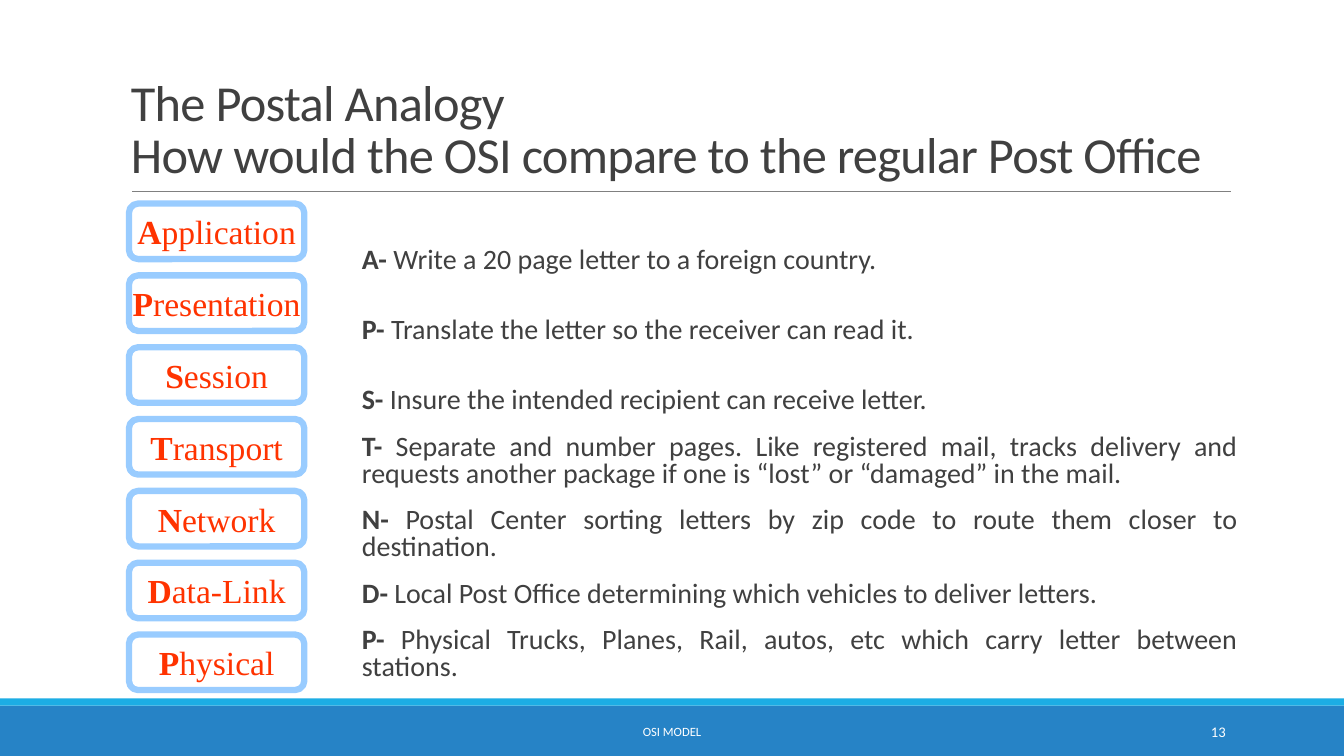
from pptx import Presentation
from pptx.dml.color import RGBColor
from pptx.enum.shapes import MSO_CONNECTOR, MSO_SHAPE
from pptx.enum.text import MSO_ANCHOR, PP_ALIGN
from pptx.oxml.ns import qn
from pptx.util import Cm, Pt
from lxml import etree

RECTANGLE, ROUNDED = MSO_SHAPE.RECTANGLE, MSO_SHAPE.ROUNDED_RECTANGLE
STRAIGHT = MSO_CONNECTOR.STRAIGHT
LEFT, CENTER, RIGHT, JUSTIFY = (PP_ALIGN.LEFT, PP_ALIGN.CENTER,
                                PP_ALIGN.RIGHT, PP_ALIGN.JUSTIFY)
TOP, MIDDLE, BOTTOM = MSO_ANCHOR.TOP, MSO_ANCHOR.MIDDLE, MSO_ANCHOR.BOTTOM

WHITE = RGBColor(0xFF, 0xFF, 0xFF)
DARK = RGBColor(0x40, 0x40, 0x40)
GRAY = RGBColor(0x80, 0x80, 0x80)
BLUE = RGBColor(0x26, 0x83, 0xC6)
CYAN = RGBColor(0x1C, 0xAD, 0xE4)
PALE_BLUE = RGBColor(0x99, 0xCC, 0xFF)
RED = RGBColor(0xFF, 0x33, 0x00)

SLIDE_WIDTH, SLIDE_HEIGHT = 33.87, 19.05
LAYER_TOP, LAYER_PITCH = 5.13, 1.81

# Layer name, line spacing of its analogy, analogy
LAYERS = [
    ("Application", 1.0, "Write a 20 page letter to a foreign country."),
    ("Presentation", 1.5, "Translate the letter so the receiver can read it."),
    ("Session", 1.5, "Insure the intended recipient can receive letter."),
    ("Transport", 0.8, "Separate and number pages. Like registered mail, tracks "
     "delivery and requests another package if one is “lost” or “damaged” in the mail."),
    ("Network", 0.8, "Postal Center sorting letters by zip code to route them "
     "closer to destination."),
    ("Data-Link", 0.8, "Local Post Office determining which vehicles to deliver letters."),
    ("Physical", 0.8, "Physical Trucks, Planes, Rail, autos, etc which carry "
     "letter between stations."),
]


def add_run(paragraph, text, size, color, font="Calibri", bold=False):
    run = paragraph.add_run()
    run.text = text
    run.font.name = font
    run.font.size = Pt(size)
    run.font.color.rgb = color
    run.font.bold = bold
    return run


def add_text_frame(slide, left, top, width, height, anchor):
    box = slide.shapes.add_textbox(Cm(left), Cm(top), Cm(width), Cm(height))
    frame = box.text_frame
    frame.word_wrap = True
    frame.vertical_anchor = anchor
    return frame


def add_bar(slide, top, height, color):
    bar = slide.shapes.add_shape(RECTANGLE, 0, Cm(top), Cm(SLIDE_WIDTH), Cm(height))
    bar.shadow.inherit = False
    bar.fill.solid()
    bar.fill.fore_color.rgb = color
    bar.line.fill.background()


def add_title(slide, lines):
    frame = add_text_frame(slide, 3.05, 1.7, 27.94, 3.05, BOTTOM)
    paragraph = frame.paragraphs[0]
    paragraph.alignment = LEFT
    paragraph.line_spacing = 0.85
    for index, line in enumerate(lines):
        if index:
            paragraph.add_line_break()
        run = add_run(paragraph, line, 36, DARK)
        run.font._element.set("spc", "-50")


def add_title_rule(slide):
    rule = slide.shapes.add_connector(STRAIGHT, Cm(3.33), Cm(4.83), Cm(31.01), Cm(4.83))
    rule.line.color.rgb = GRAY
    rule.line.width = Pt(0.5)
    etree.SubElement(rule._element.spPr, qn("a:effectLst"))


def add_layer(slide, top, name):
    layer = slide.shapes.add_shape(ROUNDED, Cm(3.25), Cm(top), Cm(4.42), Cm(1.4))
    layer.shadow.inherit = False
    layer.fill.solid()
    layer.fill.fore_color.rgb = WHITE
    layer.line.color.rgb = PALE_BLUE
    layer.line.width = Pt(4.5)
    frame = layer.text_frame
    frame.word_wrap = False
    frame.vertical_anchor = MIDDLE
    paragraph = frame.paragraphs[0]
    paragraph.alignment = CENTER
    add_run(paragraph, name[0], 24, RED, "Times New Roman", True)
    add_run(paragraph, name[1:], 24, RED, "Times New Roman")


def add_analogies(slide):
    frame = add_text_frame(slide, 9.12, 5.96, 22.07, 11.6, TOP)
    frame.margin_left = frame.margin_right = 0
    for index, (name, spacing, analogy) in enumerate(LAYERS):
        paragraph = frame.add_paragraph() if index else frame.paragraphs[0]
        paragraph.alignment = JUSTIFY
        paragraph.line_spacing = spacing
        paragraph.space_before = Pt(12 if index else 0)
        paragraph.space_after = Pt(2)
        add_run(paragraph, f"{name[0]}-", 20, DARK, bold=True)
        add_run(paragraph, f" {analogy}", 20, DARK)


def add_footer_text(slide, left, width, text, size, alignment):
    frame = add_text_frame(slide, left, 17.93, width, 1.02, MIDDLE)
    paragraph = frame.paragraphs[0]
    paragraph.alignment = alignment
    add_run(paragraph, text, size, WHITE)


def main():
    presentation = Presentation()
    presentation.slide_width = Cm(SLIDE_WIDTH)
    presentation.slide_height = Cm(SLIDE_HEIGHT)
    slide = presentation.slides.add_slide(presentation.slide_layouts[6])

    # Footer bars
    add_bar(slide, 17.78, 1.27, BLUE)
    add_bar(slide, 17.6, 0.18, CYAN)

    # Title
    add_title_rule(slide)
    add_title(slide, ["The Postal Analogy",
                      "How would the OSI compare to the regular Post Office"])

    # Footer texts
    add_footer_text(slide, 10.24, 13.39, "OSI MODEL", 9, CENTER)
    add_footer_text(slide, 27.51, 3.63, "13", 10.5, RIGHT)

    # OSI layers and their postal counterparts
    for index, (name, _, _) in enumerate(LAYERS):
        add_layer(slide, LAYER_TOP + index * LAYER_PITCH, name)
    add_analogies(slide)

    presentation.save("out.pptx")


if __name__ == "__main__":
    main()
